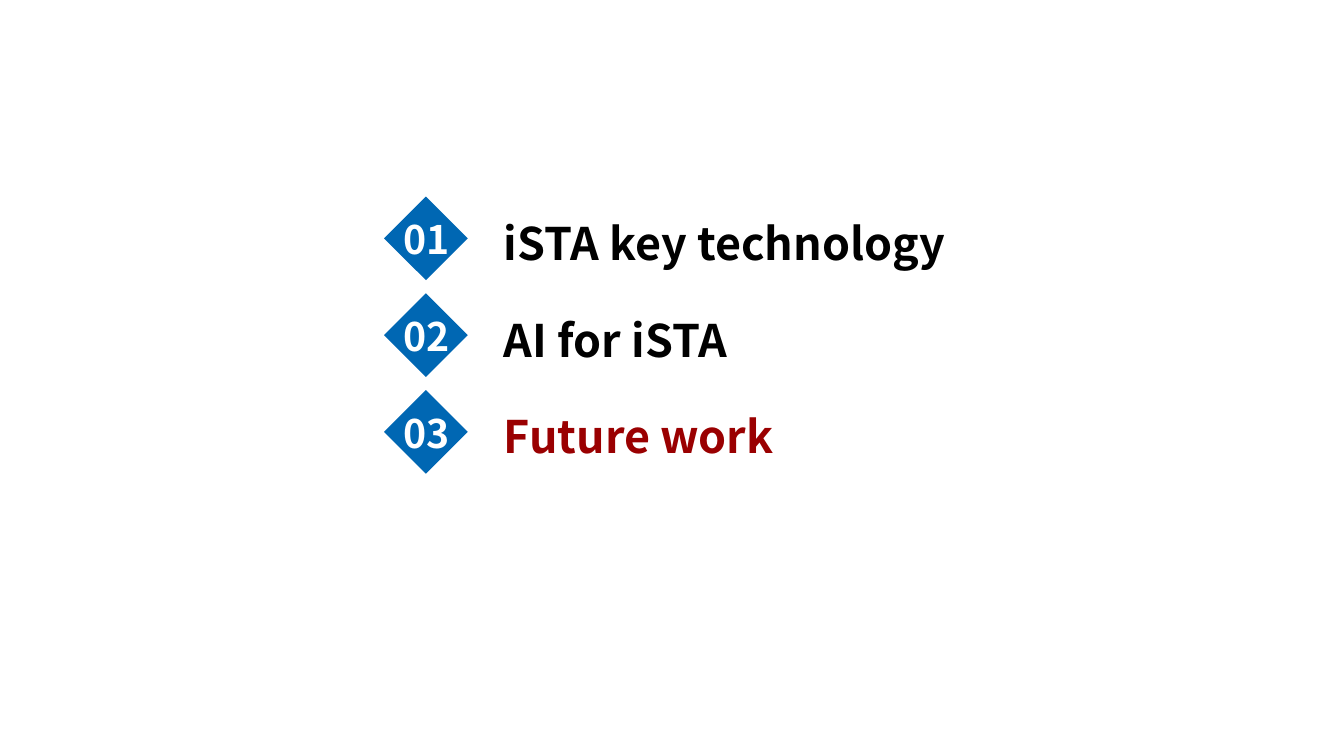
"""Build an agenda slide with three numbered diamonds and their topics."""
from dataclasses import dataclass

from pptx import Presentation
from pptx.dml.color import RGBColor
from pptx.enum.shapes import MSO_SHAPE
from pptx.enum.text import MSO_AUTO_SIZE, PP_ALIGN
from pptx.shapes.shapetree import GroupShapes, SlideShapes
from pptx.util import Inches, Pt

DIAMOND = MSO_SHAPE.DIAMOND
GROW = MSO_AUTO_SIZE.SHAPE_TO_FIT_TEXT
LEFT, CENTER = PP_ALIGN.LEFT, PP_ALIGN.CENTER
FONT = "Noto Sans CJK SC"
COLORS = {"blue": "0067B3", "black": "000000", "red": "9A0001", "white": "FFFFFF"}
FIRST_TOP, ROW_STEP = 1.95, 0.96
BADGE_LEFT, BADGE_SIZE = 3.81, 0.83
TEXT_OFFSET = 0.14


@dataclass(frozen=True)
class Topic:
    title: str
    width: float
    color: str = "black"


@dataclass(frozen=True)
class Label:
    text: str
    left: float
    top: float
    width: float
    height: float
    size: int
    color: str
    alignment: PP_ALIGN = LEFT


TOPICS = [
    Topic("iSTA key technology", 5.11),
    Topic("AI for iSTA", 3.77),
    Topic("Future work", 3.77, "red"),
]


def add_label(shapes: SlideShapes | GroupShapes, label: Label) -> None:
    box = shapes.add_textbox(
        Inches(label.left), Inches(label.top), Inches(label.width), Inches(label.height)
    )
    text_frame = box.text_frame
    text_frame.text = label.text
    text_frame.word_wrap = True
    text_frame.auto_size = GROW
    paragraph = text_frame.paragraphs[0]
    paragraph.alignment = label.alignment
    font = paragraph.runs[0].font
    font.name = FONT
    font.size = Pt(label.size)
    font.bold = True
    font.color.rgb = RGBColor.from_string(COLORS[label.color])


def add_badge(shapes: SlideShapes, number: int, top: float) -> None:
    group = shapes.add_group_shape()
    diamond = group.shapes.add_shape(
        DIAMOND, Inches(BADGE_LEFT), Inches(top), Inches(BADGE_SIZE), Inches(BADGE_SIZE)
    )
    diamond.shadow.inherit = False
    diamond.fill.solid()
    diamond.fill.fore_color.rgb = RGBColor.from_string(COLORS["blue"])
    diamond.line.fill.background()
    add_label(group.shapes, Label(
        f"{number:02}", BADGE_LEFT, top + TEXT_OFFSET, 0.85, 0.57, 28, "white", CENTER
    ))


def main() -> None:
    presentation = Presentation()
    presentation.slide_width = Inches(13.33)
    presentation.slide_height = Inches(7.5)
    slide = presentation.slides.add_slide(presentation.slide_layouts.get_by_name("Blank"))
    for index, topic in enumerate(TOPICS):
        top = FIRST_TOP + index * ROW_STEP
        add_label(slide.shapes, Label(
            topic.title, 4.9, top + TEXT_OFFSET, topic.width, 0.64, 32, topic.color
        ))
        add_badge(slide.shapes, index + 1, top)
    presentation.save("out.pptx")


if __name__ == "__main__":
    main()
